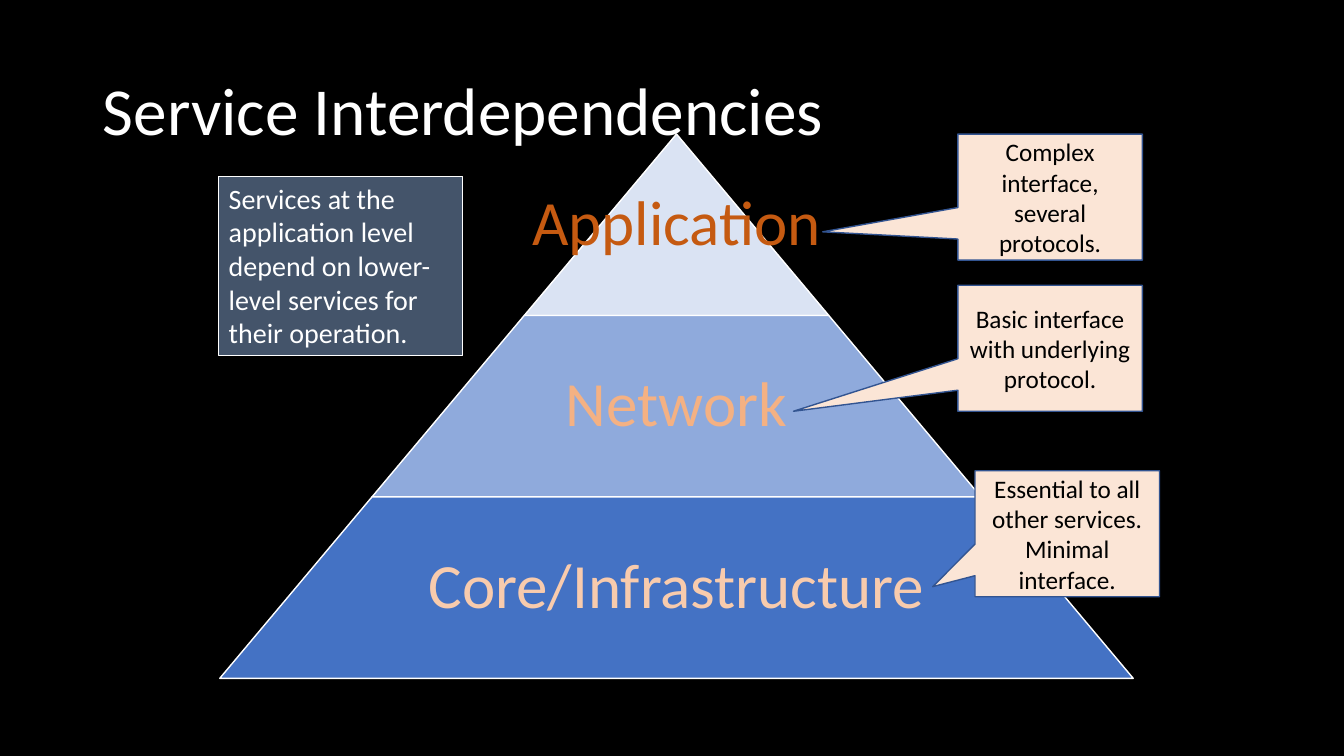
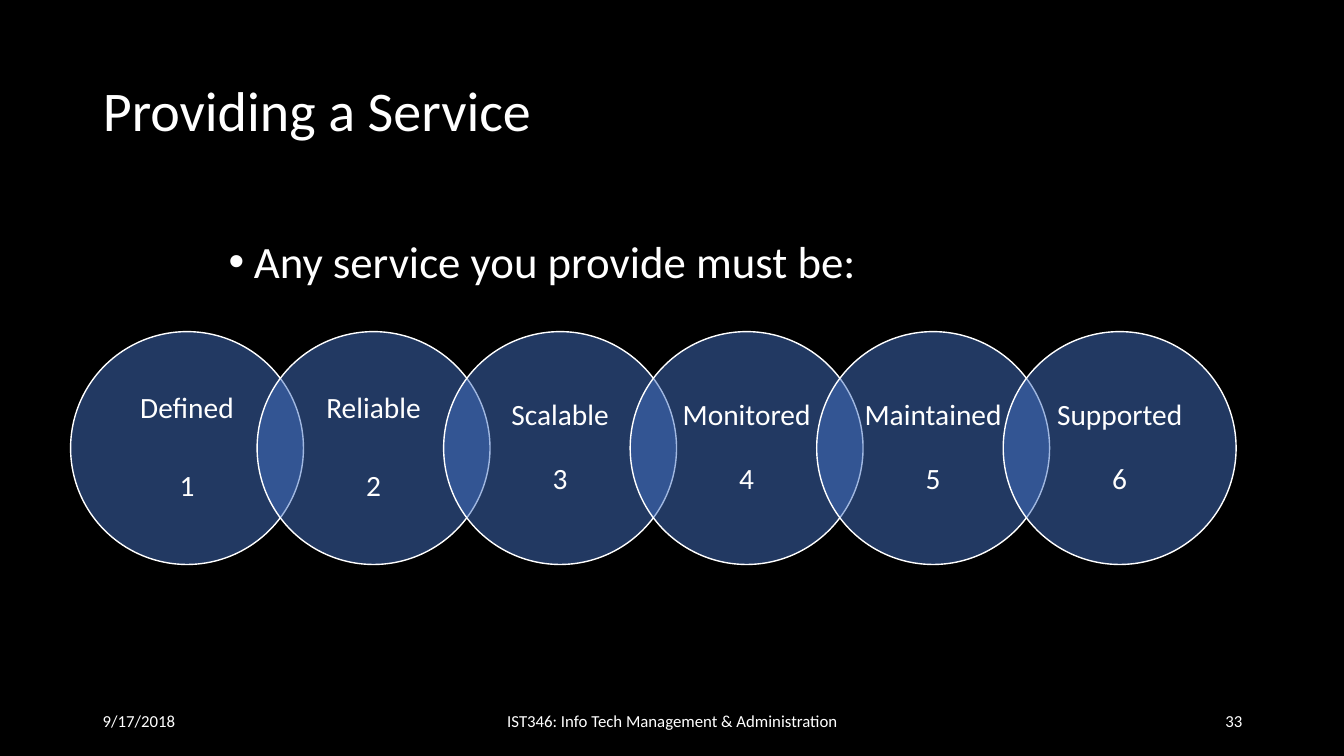
from lxml import etree
from pptx import Presentation
from pptx.dml.color import RGBColor
from pptx.enum import shapes, text
from pptx.oxml import ns
from pptx.util import Inches, Pt

BLACK = RGBColor(0x00, 0x00, 0x00)
WHITE = RGBColor(0xFF, 0xFF, 0xFF)
SLATE = RGBColor(0x44, 0x54, 0x6A)
BLUE = RGBColor(0x44, 0x72, 0xC4)
MID_BLUE = RGBColor(0x8F, 0xAA, 0xDC)
PALE_BLUE = RGBColor(0xDA, 0xE3, 0xF3)
EDGE_BLUE = RGBColor(0x32, 0x54, 0x91)
CREAM = RGBColor(0xFB, 0xE5, 0xD6)
PEACH = RGBColor(0xF8, 0xCB, 0xAD)
ORANGE = RGBColor(0xF4, 0xB1, 0x83)
RUST = RGBColor(0xC5, 0x5A, 0x11)

FONT = "Calibri"
MARGIN = 0.92
LEFT, CENTER, RIGHT = text.PP_ALIGN.LEFT, text.PP_ALIGN.CENTER, text.PP_ALIGN.RIGHT
TOP, MIDDLE = text.MSO_ANCHOR.TOP, text.MSO_ANCHOR.MIDDLE
SHAPE = shapes.MSO_SHAPE


class Slides:
    def __init__(self):
        self.deck = Presentation()
        self.deck.slide_width = Inches(13.33)
        self.deck.slide_height = Inches(7.5)
        background = self.deck.slide_master.background.fill
        background.solid()
        background.fore_color.rgb = BLACK
        self.page = None

    def set_words(self, box, words, size, color=WHITE, align=LEFT, anchor=MIDDLE,
                  spacing=1.0, insets=(0.1, 0.05)):
        frame = box.text_frame
        frame.text = words
        frame.word_wrap = True
        frame.auto_size = text.MSO_AUTO_SIZE.NONE
        frame.vertical_anchor = anchor
        frame.margin_left = frame.margin_right = Inches(insets[0])
        frame.margin_top = frame.margin_bottom = Inches(insets[1])
        for para in frame.paragraphs:
            para.alignment = align
            para.line_spacing = spacing
            for span in para.runs:
                span.font.name = FONT
                span.font.size = Pt(size)
                span.font.color.rgb = color
        return frame

    def new_page(self, title, size):
        self.page = self.deck.slides.add_slide(self.deck.slide_layouts[5])
        box = self.page.shapes.title
        box.left, box.top = Inches(MARGIN), Inches(0.4)
        box.width, box.height = Inches(11.5), Inches(1.45)
        self.set_words(box, title, size, spacing=0.9)

    def label(self, left, top, width, height, words, size, **style):
        box = self.page.shapes.add_textbox(
            Inches(left), Inches(top), Inches(width), Inches(height))
        return self.set_words(box, words, size, **style)

    def shape(self, kind, left, top, width, height, fill, line=WHITE, weight=1):
        box = self.page.shapes.add_shape(
            kind, Inches(left), Inches(top), Inches(width), Inches(height))
        box.shadow.inherit = False
        box.fill.solid()
        box.fill.fore_color.rgb = fill
        box.line.color.rgb = line
        box.line.width = Pt(weight)
        return box

    def callout(self, left, top, tip_x, tip_y, words):
        width, height = 1.83, 1.25
        box = self.shape(SHAPE.RECTANGULAR_CALLOUT, left, top, width, height,
                         CREAM, EDGE_BLUE)
        box.adjustments[0] = (tip_x - left) / width - 0.5
        box.adjustments[1] = (tip_y - top) / height - 0.5
        self.set_words(box, words, 18, BLACK, CENTER)

    def pyramid(self, center, top, tier_height, half_step, tiers):
        for row, (words, fill, color) in enumerate(tiers):
            half_width = half_step * (row + 1)
            tier_top = top + tier_height * row
            tier = self.shape(SHAPE.TRAPEZOID, center - half_width, tier_top,
                              2 * half_width, tier_height, fill)
            tier.adjustments[0] = half_step / tier_height
            self.label(center - 2.95, tier_top, 5.9, tier_height, words, 45,
                       color=color, align=CENTER, spacing=0.9, insets=(0.06, 0.06))

    def circle(self, left, top, diameter, name, number, gap):
        box = self.shape(SHAPE.OVAL, left, top, diameter, diameter, BLUE)
        color = box.element.spPr.find(ns.qn("a:solidFill")).find(ns.qn("a:srgbClr"))
        etree.SubElement(color, ns.qn("a:alpha"), val="50000")
        frame = self.set_words(box, f"{name}\n{number}", 21, align=CENTER,
                               spacing=0.9, insets=(0.13, 0.03))
        frame.paragraphs[1].space_before = Pt(gap)

    def bullet(self, left, top, width, height, words):
        frame = self.label(left, top, width, height, words, 32, anchor=TOP, spacing=0.9)
        properties = frame.paragraphs[0]._p.get_or_add_pPr()
        indent = Inches(0.25)
        properties.set("marL", str(indent))
        properties.set("indent", str(-indent))
        etree.SubElement(properties, ns.qn("a:buFont"), typeface="Arial")
        etree.SubElement(properties, ns.qn("a:buChar"), char="•")

    def footer(self, date, course, number):
        for left, width, words, align in (
            (MARGIN, 3, date, LEFT),
            (4.42, 4.5, course, CENTER),
            (9.42, 3, number, RIGHT),
        ):
            self.label(left, 6.95, width, 0.4, words, 12, align=align)


def interdependencies(slides):
    slides.new_page("Service Interdependencies", 48)
    slides.pyramid(6.71, 1.33, 1.8, 1.51, (
        ("Application", PALE_BLUE, RUST),
        ("Network", MID_BLUE, ORANGE),
        ("Core/Infrastructure", BLUE, PEACH),
    ))
    slides.callout(9.67, 4.67, 9.25, 5.82,
                   "Essential to all other services. Minimal interface.")
    slides.callout(9.5, 2.83, 7.87, 4.08, "Basic interface with underlying protocol.")
    slides.callout(9.5, 1.33, 8.16, 2.3, "Complex interface, several protocols.")
    note = slides.shape(SHAPE.RECTANGLE, 2.17, 1.75, 2.42, 1.78, SLATE, weight=0.75)
    slides.set_words(note, "Services at the application level depend on lower-level "
                     "services for their operation.", 20, anchor=TOP)


def providing(slides):
    slides.new_page("Providing a Service", 40)
    slides.bullet(2.17, 2.33, 9, 0.67, "Any service you provide must be:")
    slides.footer("9/17/2018", "IST346: Info Tech Management & Administration", "33")
    qualities = (("Defined", 33), ("Reliable", 33), ("Scalable", 23),
                 ("Monitored", 23), ("Maintained", 23), ("Supported", 23))
    for index, (name, gap) in enumerate(qualities):
        slides.circle(0.7 + 1.85 * index, 3.29, 2.31, name, index + 1, gap)


def main():
    slides = Slides()
    interdependencies(slides)
    providing(slides)
    slides.deck.save("out.pptx")


if __name__ == "__main__":
    main()
